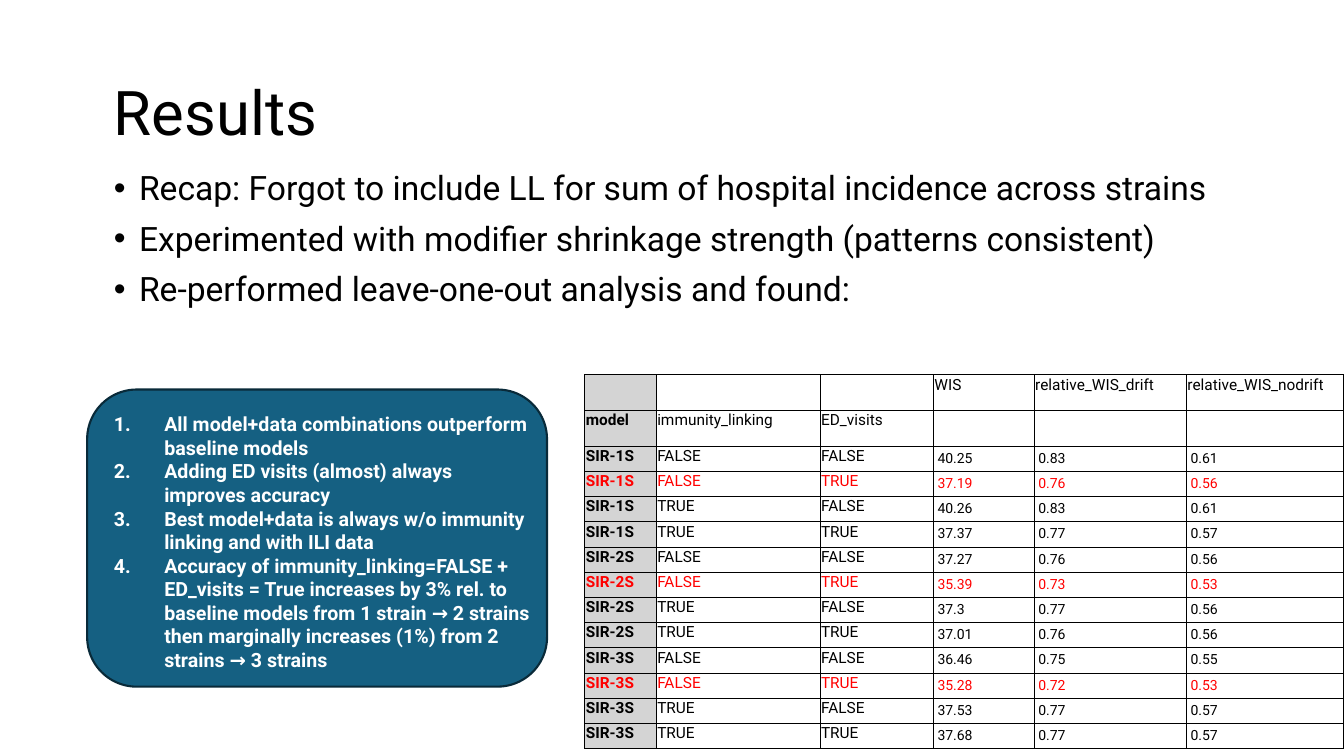
from lxml.etree import SubElement
from pptx import Presentation
from pptx.dml.color import RGBColor
from pptx.enum.shapes import MSO_SHAPE as SHAPE
from pptx.enum.text import MSO_ANCHOR as ANCHOR
from pptx.oxml.ns import qn
from pptx.util import Pt

PX = 9525
BLACK = RGBColor(0x00, 0x00, 0x00)
WHITE = RGBColor(0xFF, 0xFF, 0xFF)
RED = RGBColor(0xFF, 0x00, 0x00)
GREY = RGBColor(0xD4, 0xD4, 0xD4)
TEAL = RGBColor(0x15, 0x60, 0x82)
DARK_TEAL = RGBColor(0x09, 0x2A, 0x39)

RECAP = [
    "Recap: Forgot to include LL for sum of hospital incidence across strains",
    "Experimented with modifier shrinkage strength (patterns consistent)",
    "Re-performed leave-one-out analysis and found:",
]
FINDINGS = [
    "All model+data combinations outperform baseline models",
    "Adding ED visits (almost) always improves accuracy",
    "Best model+data is always w/o immunity linking and with ILI data",
    "Accuracy of immunity_linking=FALSE + ED_visits = True increases by 3% "
    "rel. to baseline models from 1 strain → 2 strains then marginally "
    "increases (1%) from 2 strains → 3 strains",
]
HEADERS = [
    ["", "", "", "WIS", "relative_WIS_drift", "relative_WIS_nodrift"],
    ["model", "immunity_linking", "ED_visits", "", "", ""],
]
SCORES = {
    "SIR-1S": [("40.25", "0.83", "0.61"), ("37.19", "0.76", "0.56"),
               ("40.26", "0.83", "0.61"), ("37.37", "0.77", "0.57")],
    "SIR-2S": [("37.27", "0.76", "0.56"), ("35.39", "0.73", "0.53"),
               ("37.3", "0.77", "0.56"), ("37.01", "0.76", "0.56")],
    "SIR-3S": [("36.46", "0.75", "0.55"), ("35.28", "0.72", "0.53"),
               ("37.53", "0.77", "0.57"), ("37.68", "0.77", "0.57")],
}
SETTINGS = [("FALSE", "FALSE"), ("FALSE", "TRUE"),
            ("TRUE", "FALSE"), ("TRUE", "TRUE")]
BEST = ("FALSE", "TRUE")
COLUMNS = [68, 156, 108, 96, 145, 150]


class Deck:
    font = "Roboto"

    def __init__(self):
        self.prs = Presentation()
        self.prs.slide_width = 1280 * PX
        self.prs.slide_height = 720 * PX
        self.s = self.prs.slides.add_slide(self.prs.slide_layouts[6])

    def run(self, p, text, size, color, bold=False):
        r = p.add_run()
        r.text = text
        r.font.name = self.font
        r.font.size = Pt(size)
        r.font.bold = bold
        r.font.color.rgb = color

    def card(self, x, y, w, h):
        sp = self.s.shapes.add_shape(SHAPE.ROUNDED_RECTANGLE,
                                     x * PX, y * PX, w * PX, h * PX)
        sp.shadow.inherit = False
        sp.fill.solid()
        sp.fill.fore_color.rgb = TEAL
        sp.line.color.rgb = DARK_TEAL
        sp.line.width = Pt(1.5)

    def text(self, x, y, w, h, lines, size, color=BLACK, bold=False,
             anchor=ANCHOR.TOP, spacing=1.0, before=0, bullet=None, indent=0):
        sp = self.s.shapes.add_textbox(x * PX, y * PX, w * PX, h * PX)
        tf = sp.text_frame
        tf.word_wrap = True
        tf.vertical_anchor = anchor
        for i, line in enumerate(lines):
            p = tf.add_paragraph() if i else tf.paragraphs[0]
            p.line_spacing = spacing
            p.space_before = Pt(before)
            if bullet:
                self.bullet(p, bullet, indent)
            self.run(p, line, size, color, bold)

    def bullet(self, p, kind, indent):
        pr = p._p.get_or_add_pPr()
        pr.set("marL", str(indent * PX))
        pr.set("indent", str(-indent * PX))
        if kind == "number":
            SubElement(pr, qn("a:buFont"), typeface="+mj-lt")
            SubElement(pr, qn("a:buAutoNum"), type="arabicPeriod")
        else:
            SubElement(pr, qn("a:buFont"), typeface="Arial")
            SubElement(pr, qn("a:buChar"), char=kind)

    def cell(self, c, text, size, color, bold, inset, fill):
        c.margin_left = c.margin_right = inset * PX
        c.margin_top = c.margin_bottom = inset * PX
        pr = c._tc.get_or_add_tcPr()
        for side in ("a:lnL", "a:lnR", "a:lnT", "a:lnB"):
            ln = SubElement(pr, qn(side), w=str(Pt(0.75)))
            SubElement(SubElement(ln, qn("a:solidFill")),
                       qn("a:srgbClr"), val=str(BLACK))
        if fill:
            c.fill.solid()
            c.fill.fore_color.rgb = fill
        else:
            c.fill.background()
        p = c.text_frame.paragraphs[0]
        if text:
            self.run(p, text, size, color, bold)
        else:
            SubElement(p._p, qn("a:endParaRPr"), sz=str(size * 100))

    def table(self, x, y, widths, heights, rows):
        frame = self.s.shapes.add_table(len(rows), len(widths), x * PX, y * PX,
                                        sum(widths) * PX, sum(heights) * PX)
        tbl = frame.table
        tbl.first_row = tbl.horz_banding = False
        for col, w in zip(tbl.columns, widths):
            col.width = w * PX
        for i, (row, h) in enumerate(zip(rows, heights)):
            tbl.rows[i].height = h * PX
            color = RED if tuple(row[1:3]) == BEST else BLACK
            for j, text in enumerate(row):
                score = i >= len(HEADERS) and j >= 3
                self.cell(tbl.cell(i, j), text, 10 if score else 11, color,
                          j == 0, 4 if score else 1, None if j else GREY)


def main():
    deck = Deck()
    deck.card(83, 371, 438, 283)
    deck.text(99, 41, 1104, 139, ["Results"], 44,
              anchor=ANCHOR.MIDDLE, spacing=0.9)
    deck.text(99, 159, 1104, 162, RECAP, 24,
              spacing=0.9, before=10, bullet="•", indent=24)
    results = [[model, *setting, *scores]
               for model, runs in SCORES.items()
               for setting, scores in zip(SETTINGS, runs)]
    heights = [34] * len(HEADERS) + [21] * len(results)
    deck.table(557, 357, COLUMNS, heights, HEADERS + results)
    deck.text(99, 388, 416, 258, FINDINGS, 14, WHITE, bold=True,
              bullet="number", indent=48)
    deck.prs.save("out.pptx")


if __name__ == "__main__":
    main()
